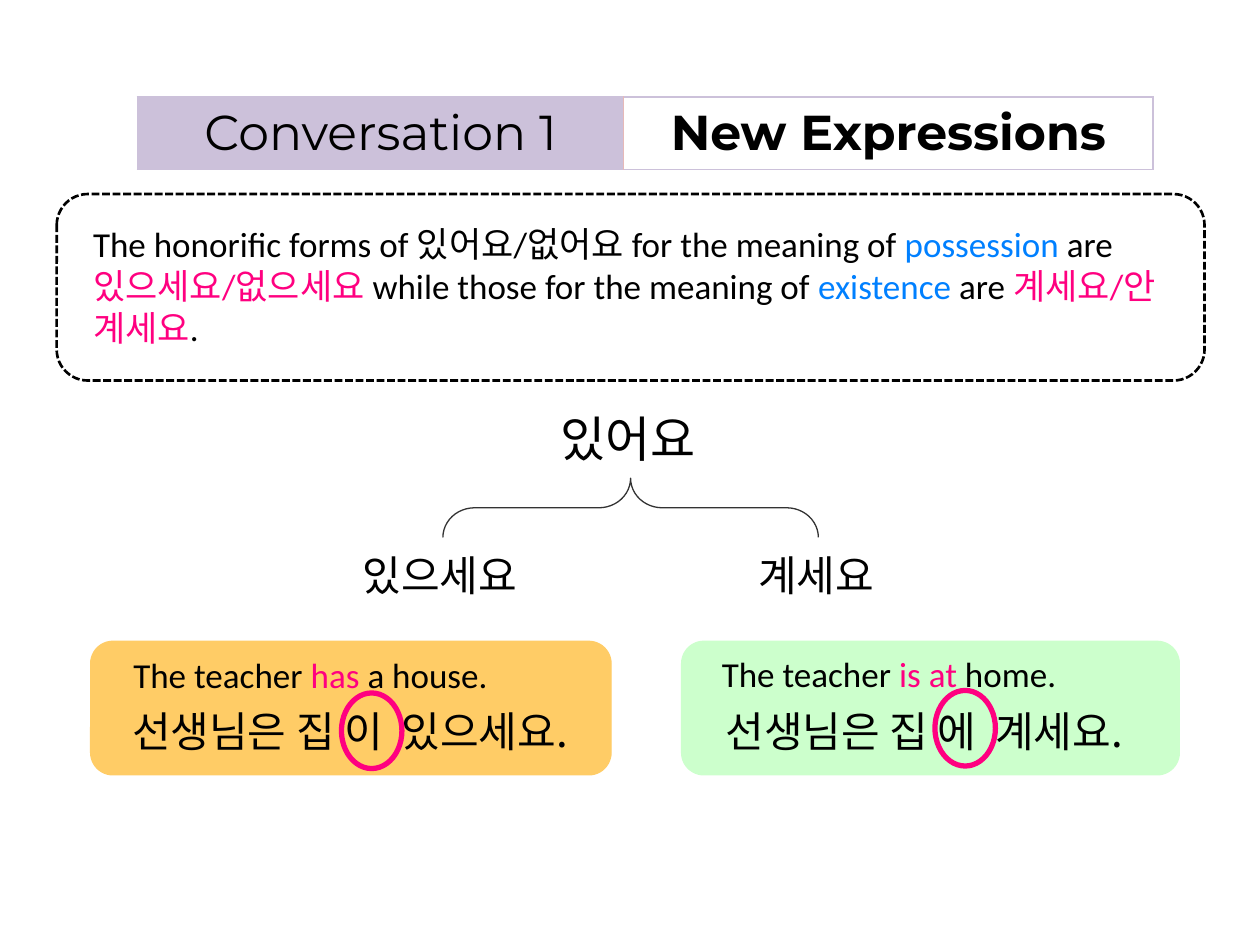
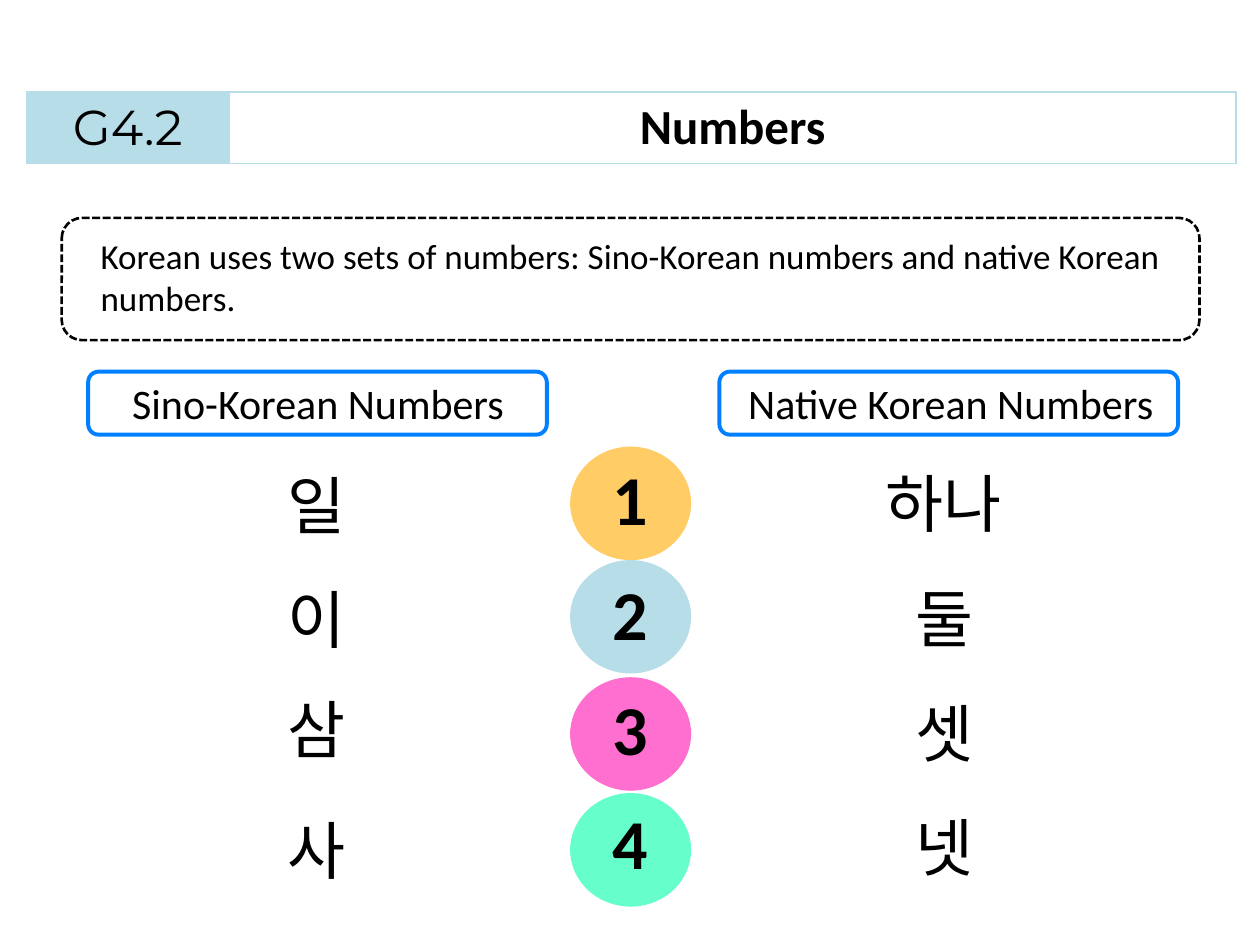
from lxml.etree import SubElement
from pptx import Presentation
from pptx.dml.color import RGBColor
from pptx.enum.dml import MSO_LINE
from pptx.enum.shapes import MSO_SHAPE
from pptx.enum.text import MSO_ANCHOR, MSO_AUTO_SIZE, PP_ALIGN
from pptx.oxml import parse_xml
from pptx.oxml.ns import nsdecls, qn
from pptx.util import Inches, Pt

COLORS = {
    "black": "000000", "grey": "333333", "pink": "FF0080", "blue": "0080FF",
    "lilac": "CCC1DA", "rose": "E6B9B8", "sky": "B7DEE8", "orange": "FFCC66",
    "green": "CCFFCC", "magenta": "FF6FCF", "mint": "66FFCC",
}
LATIN, HEADING, KOREAN = "Calibri", "Montserrat", "Noto Sans CJK KR"


def rgb(name):
    """Return the colour stored under a name."""
    return RGBColor.from_string(COLORS[name])


def inches(at):
    """Turn left, top, width and height into lengths."""
    return [Inches(round(value, 2)) for value in at]


def add_span(para, text, size=20, font=LATIN, color="black", bold=False, spacing=0):
    """Add one formatted run to a paragraph."""
    span = para.add_run()
    span.text = text
    span.font.size = Pt(size)
    span.font.name = font
    span.font.bold = bold
    span.font.color.rgb = rgb(color)
    properties = span._r.get_or_add_rPr()
    SubElement(properties, qn("a:ea"), typeface=KOREAN)
    if spacing:
        properties.set("spc", str(spacing))


def add_text(page, at, *spans, wrap=False, align=PP_ALIGN.LEFT, **style):
    """Add a text box whose spans are strings or pairs of text and overrides."""
    box = page.shapes.add_textbox(*inches(at))
    frame = box.text_frame
    frame.word_wrap = wrap
    frame.auto_size = MSO_AUTO_SIZE.SHAPE_TO_FIT_TEXT
    para = frame.paragraphs[0]
    para.alignment = align
    for span in spans:
        text, changes = (span, {}) if isinstance(span, str) else span
        add_span(para, text, **{**style, **changes})


def add_figure(page, kind, at, fill=None, line="black", width=0.75, dash=None):
    """Add a preset shape with a flat fill and outline."""
    shape = page.shapes.add_shape(kind, *inches(at))
    shape.shadow.inherit = False
    if fill:
        shape.fill.solid()
        shape.fill.fore_color.rgb = rgb(fill)
    else:
        shape.fill.background()
    shape.line.color.rgb = rgb(line)
    shape.line.width = Pt(width)
    if dash:
        shape.line.dash_style = dash
    return shape


def add_rule_box(page, at):
    """Add the dashed frame around a grammar rule."""
    add_figure(page, MSO_SHAPE.ROUNDED_RECTANGLE, at, width=1.5, dash=MSO_LINE.SQUARE_DOT)


def set_borders(cell, colors):
    """Draw the left, right, top and bottom borders of a cell."""
    properties = cell._tc.get_or_add_tcPr()
    for side, color in zip("LRTB", colors):
        properties.append(parse_xml(
            f'<a:ln{side} {nsdecls("a")} w="12700"><a:solidFill>'
            f'<a:srgbClr val="{COLORS[color]}"/></a:solidFill></a:ln{side}>'))


def add_heading(page, left, top, widths, label, title, color, divider, title_font):
    """Add the two-cell heading band."""
    frame = page.shapes.add_table(1, 2, *inches((left, top, sum(widths), 0.57)))
    table = frame.table
    table.first_row = table.horz_banding = False
    for column, width in zip(table.columns, widths):
        column.width = Inches(width)
    label_cell, title_cell = table.rows[0].cells
    set_borders(label_cell, (color, divider, color, color))
    set_borders(title_cell, (divider, color, color, color))
    label_cell.fill.solid()
    label_cell.fill.fore_color.rgb = rgb(color)
    title_cell.fill.background()
    for cell, text, font in ((label_cell, label, HEADING), (title_cell, title, title_font)):
        cell.vertical_anchor = MSO_ANCHOR.MIDDLE
        para = cell.text_frame.paragraphs[0]
        para.alignment = PP_ALIGN.CENTER
        add_span(para, text, size=28, font=font, bold=cell is title_cell)


def build_expressions(page):
    """Build the slide on the honorific forms."""
    pink, blue = {"color": "pink"}, {"color": "blue"}
    wide_space = (" ", {"spacing": 540})
    add_heading(page, 1.09, 0.77, (3.86, 4.2), "Conversation 1", "New Expressions",
                "lilac", "rose", HEADING)
    add_rule_box(page, (0.45, 1.54, 9.11, 1.48))
    add_text(page, (0.64, 1.72, 8.73, 1.11),
             "The honorific forms of 있어요/없어요 for the meaning of ",
             ("possession", blue), " are ", ("있으세요/없으세요 ", pink),
             "while those for the meaning of ", ("existence", blue), " are ",
             ("계세요/안 계세요", pink), ".", wrap=True)

    add_text(page, (4.35, 3.19, 1.31, 0.57), "있어요", size=28, font=KOREAN)
    brace = add_figure(page, MSO_SHAPE.RIGHT_BRACE, (4.77, 2.54, 0.47, 2.98), line="grey")
    brace.rotation = 270
    brace.adjustments[0], brace.adjustments[1] = 0.535, 0.5
    add_text(page, (2.78, 4.31, 1.47, 0.5), "있으세요", size=24, font=KOREAN)
    add_text(page, (5.92, 4.31, 1.15, 0.5), "계세요", size=24, font=KOREAN)

    for left, width, fill in ((0.72, 4.13, "orange"), (5.41, 3.95, "green")):
        add_figure(page, MSO_SHAPE.ROUNDED_RECTANGLE, (left, 5.09, width, 1.06), fill, fill)
    add_text(page, (0.96, 5.14, 3.04, 0.44), "The teacher ", ("has", pink), " a house.")
    add_text(page, (5.63, 5.13, 2.88, 0.44), "The teacher ", ("is at ", pink), "home.")
    add_text(page, (0.95, 5.55, 3.84, 0.5), "선생님은 집 이", wide_space, "있으세요.",
             size=24, font=KOREAN)
    add_text(page, (5.66, 5.55, 3.52, 0.5), "선생님은 집 에", wide_space, "계세요.",
             size=24, font=KOREAN)
    for left, top in ((2.71, 5.5), (7.42, 5.48)):
        add_figure(page, MSO_SHAPE.OVAL, (left, top, 0.48, 0.6), line="pink", width=3)


def add_number_word(page, center, top, word):
    """Add a Korean number centred on a column."""
    width = 0.2 + 0.48 * len(word)
    add_text(page, (center - width / 2, top, width, 0.71), word, size=36, font=KOREAN)


def build_numbers(page):
    """Build the slide on the two sets of numbers."""
    add_heading(page, 0.21, 0.73, (1.61, 7.99), "G4.2", "Numbers", "sky", "sky", LATIN)
    add_rule_box(page, (0.49, 1.73, 9.03, 0.97))
    add_text(page, (0.7, 1.81, 8.69, 0.77),
             "Korean uses two sets of numbers: Sino-Korean numbers and native Korean numbers.",
             wrap=True)
    columns = ((0.7, 0.95, 3.2, "Sino-Korean Numbers"),
               (5.71, 5.84, 3.47, "Native Korean Numbers"))
    for frame_left, text_left, width, name in columns:
        add_text(page, (text_left, 2.95, width, 0.5), name, size=24)
        add_figure(page, MSO_SHAPE.ROUNDED_RECTANGLE, (frame_left, 2.95, 3.64, 0.5),
                   line="blue", width=2.25)

    numbers = (("orange", 3.55, "일", 3.65, "하나"), ("sky", 4.45, "이", 4.56, "둘"),
               ("magenta", 5.38, "삼", 5.43, "셋"), ("mint", 6.3, "사", 6.39, "넷"))
    for index, (fill, circle_top, sino, sino_top, native) in enumerate(numbers):
        drop = 0.91 * index
        add_figure(page, MSO_SHAPE.OVAL, (4.53, circle_top, 0.95, 0.89), fill, fill)
        add_text(page, (4.53, 3.57 + drop, 0.95, 0.77), str(index + 1), wrap=True,
                 align=PP_ALIGN.CENTER, size=40, bold=True)
        add_number_word(page, 2.52, sino_top, sino)
        add_number_word(page, 7.51, 3.64 + drop, native)


def main():
    """Build both slides and save the deck."""
    deck = Presentation()
    deck.slide_width, deck.slide_height = Inches(10), Inches(7.5)
    blank = deck.slide_layouts.get_by_name("Blank")
    for build in (build_expressions, build_numbers):
        build(deck.slides.add_slide(blank))
    deck.save("out.pptx")


if __name__ == "__main__":
    main()
